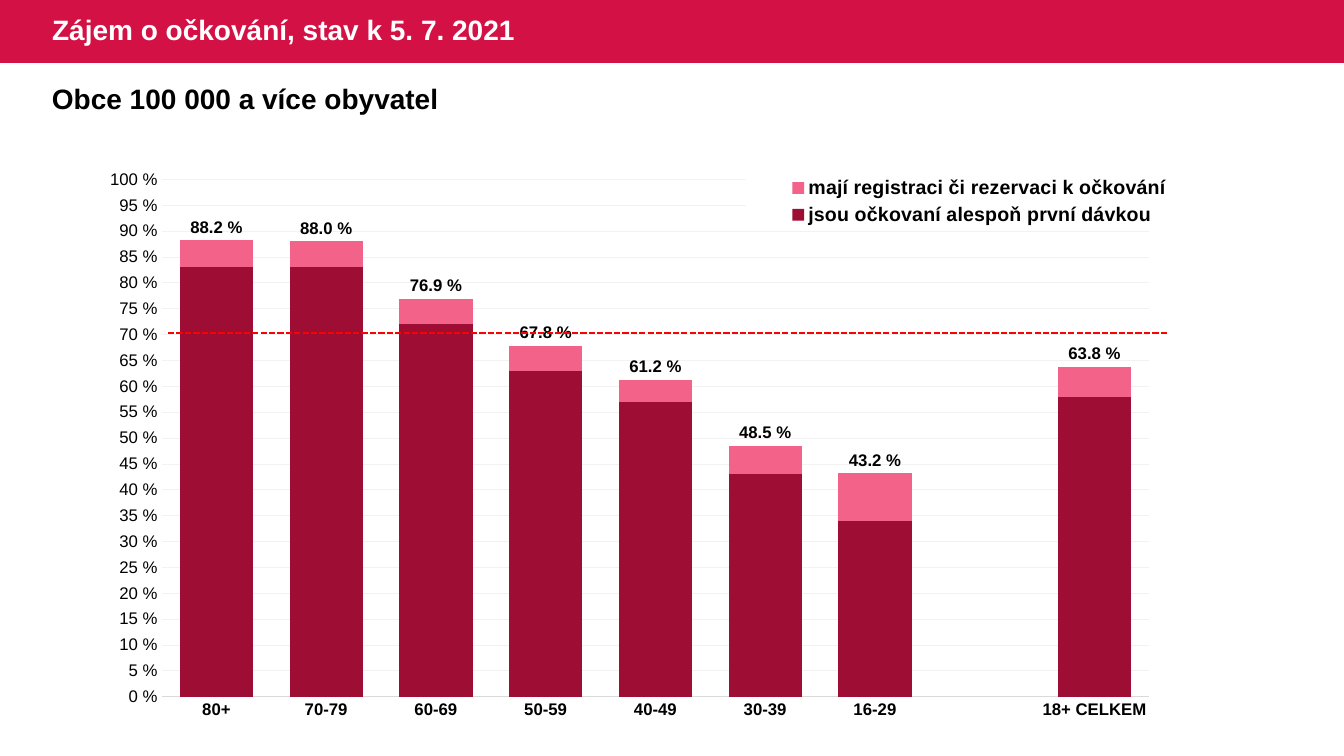
import lxml.etree
import pptx
import pptx.chart.data
import pptx.dml.color
import pptx.enum.chart
import pptx.enum.dml
import pptx.enum.shapes
import pptx.enum.text
import pptx.oxml
import pptx.oxml.ns
import pptx.util

EMU_PER_PX = 914400 / 100.8


def px(*lengths):
    """Turn pixel lengths into a list of EMU lengths."""
    return [pptx.util.Emu(round(length * EMU_PER_PX)) for length in lengths]


def style(target, colour, size=None, bold=None):
    """Colour a fill or line; with a size, format a font in Arial."""
    if size:
        target.name, target.size, target.bold = "Arial", pptx.util.Pt(size), bold
        target.color.rgb = pptx.dml.color.RGBColor.from_string(colour)
    else:
        target.solid()
        target.fore_color.rgb = pptx.dml.color.RGBColor.from_string(colour)


deck = pptx.Presentation()
deck.slide_width, deck.slide_height = px(1344, 756)
slide = deck.slides.add_slide(deck.slide_layouts[5])

# Header band behind the title
band = slide.shapes.add_shape(
    pptx.enum.shapes.MSO_SHAPE.RECTANGLE, *px(0, 0, 1344, 63))
band.shadow.inherit = False
style(band.fill, "D31145")
band.line.fill.background()
slide.shapes.title.element.addprevious(band.element)

title = slide.shapes.title
title.left, title.top, title.width, title.height = px(42, 0, 595, 63)
title.text_frame.text = "Zájem o očkování, stav k 5. 7. 2021"
title.text_frame.vertical_anchor = pptx.enum.text.MSO_ANCHOR.MIDDLE
title.text_frame.auto_size = pptx.enum.text.MSO_AUTO_SIZE.NONE
heading = title.text_frame.paragraphs[0]
heading.alignment = pptx.enum.text.PP_ALIGN.LEFT
heading.line_spacing = 0.9
style(heading.font, "FFFFFF", 20, True)

subtitle = slide.shapes.add_textbox(*px(42, 77, 1249, 44)).text_frame
subtitle.word_wrap = True
subtitle.text = "Obce 100 000 a více obyvatel"
style(subtitle.paragraphs[0].font, "000000", 20, True)

# Vaccination interest by age group
interest = pptx.chart.data.CategoryChartData()
interest.categories = ["80+", "70-79", "60-69", "50-59", "40-49", "30-39",
                       "16-29", "", "18+ CELKEM"]
interest.add_series("mají registraci či rezervaci k očkování",
                    [88.2, 88, 76.9, 67.8, 61.2, 48.5, 43.2, None, 63.8])
interest.add_series("jsou očkovaní alespoň první dávkou",
                    [83, 83, 72, 63, 57, 43, 34, None, 58])
chart = slide.shapes.add_chart(
    pptx.enum.chart.XL_CHART_TYPE.COLUMN_CLUSTERED,
    *px(110, 161, 1114, 578), interest).chart
chart.has_title = False
style(chart.font, "000000", 10)

columns = chart.plots[0]
columns.gap_width, columns.overlap = 50, 100
columns.vary_by_categories = False
registered, vaccinated = columns.series
for series, colour in ((registered, "F26289"), (vaccinated, "9E0D34")):
    style(series.format.fill, colour)
    series.invert_if_negative = False
totals = registered.data_labels
totals.show_value = True
totals.number_format, totals.number_format_is_linked = '0.0" %"', False
totals.position = pptx.enum.chart.XL_LABEL_POSITION.OUTSIDE_END
style(totals.font, "000000", 12, True)

ages, percent = chart.category_axis, chart.value_axis
for axis, bold in ((ages, True), (percent, False)):
    axis.major_tick_mark = pptx.enum.chart.XL_TICK_MARK.NONE
    axis.minor_tick_mark = pptx.enum.chart.XL_TICK_MARK.NONE
    style(axis.tick_labels.font, "000000", 12, bold)
style(ages.format.line.fill, "D9D9D9")
ages.format.line.width = pptx.util.Pt(0.75)
percent.minimum_scale, percent.maximum_scale, percent.major_unit = 0, 100, 5
percent.tick_labels.number_format = '0" %"'
percent.tick_labels.number_format_is_linked = False
percent.format.line.fill.background()
style(percent.major_gridlines.format.line.fill, "F2F2F2")
percent.major_gridlines.format.line.width = pptx.util.Pt(0.5)

chart.has_legend = True
legend = chart.legend
legend.position = pptx.enum.chart.XL_LEGEND_POSITION.TOP
legend.include_in_layout = True
style(legend.font, "000000", 14, True)

# Fixed places for the plot and the legend, as fractions of the chart
chart_ns = pptx.oxml.ns.nsdecls("c")
plot_area = chart.plots[0]._element.getparent()
for old_layout in plot_area.findall(pptx.oxml.ns.qn("c:layout")):
    plot_area.remove(old_layout)
for old_layout in legend._element.findall(pptx.oxml.ns.qn("c:layout")):
    legend._element.remove(old_layout)
legend_position = legend._element.find(pptx.oxml.ns.qn("c:legendPos"))
for target, bounds in (("inner", (0.045, 0.032, 0.888, 0.895)),
                       (None, (0.57, 0.02, 0.42, 0.1))):
    entries = f'<c:layoutTarget val="{target}"/>' if target else ""
    entries += '<c:xMode val="edge"/><c:yMode val="edge"/>'
    entries += "".join(f'<c:{side} val="{share}"/>'
                       for side, share in zip("xywh", bounds))
    layout = pptx.oxml.parse_xml(
        f"<c:layout {chart_ns}><c:manualLayout>{entries}</c:manualLayout></c:layout>")
    if target:
        plot_area.insert(0, layout)
    else:
        legend_position.addnext(layout)

# White legend background hides the gridlines behind it
legend._element.find(pptx.oxml.ns.qn("c:overlay")).addnext(pptx.oxml.parse_xml(
    f'<c:spPr {pptx.oxml.ns.nsdecls("c", "a")}><a:solidFill>'
    '<a:srgbClr val="FFFFFF"/></a:solidFill></c:spPr>'))

# 70 % threshold
threshold = slide.shapes.add_connector(
    pptx.enum.shapes.MSO_CONNECTOR.STRAIGHT, *px(168, 333, 1168, 333))
style(threshold.line.fill, "FF0000")
threshold.line.width = pptx.util.Pt(1.5)
threshold.line.dash_style = pptx.enum.dml.MSO_LINE.SQUARE_DOT
lxml.etree.SubElement(threshold.element.spPr, pptx.oxml.ns.qn("a:effectLst"))

deck.save("out.pptx")
